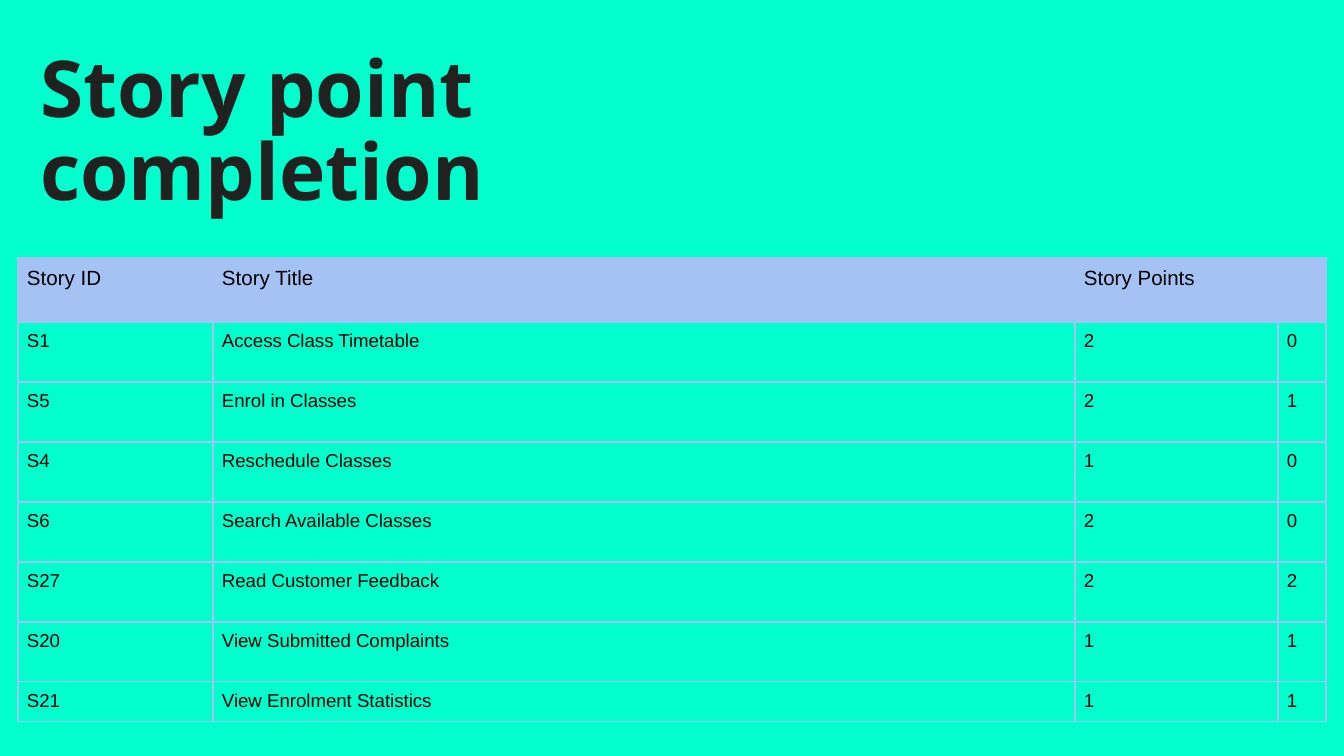
import pptx
import pptx.dml.color
import pptx.enum.text
import pptx.oxml
import pptx.oxml.ns
import pptx.util

PX = 914400 / 134.4
COLORS = {"background": "00FFCC", "header": "A4C2F4", "title": "212121", "text": "000000"}
STORIES = [
    ("Story ID", "Story Title", "Story Points", ""),
    ("S1", "Access Class Timetable", "2", "0"),
    ("S5", "Enrol in Classes", "2", "1"),
    ("S4", "Reschedule Classes", "1", "0"),
    ("S6", "Search Available Classes", "2", "0"),
    ("S27", "Read Customer Feedback", "2", "2"),
    ("S20", "View Submitted Complaints", "1", "1"),
    ("S21", "View Enrolment Statistics", "1", "1"),
]
COLUMN_WIDTHS = [195, 862, 203, 48]
ROW_HEIGHTS = [64] + [60] * 6 + [40]


def px(length):
    return pptx.util.Emu(round(length * PX))


def write(paragraph, text, color, **font_format):
    run = paragraph.add_run()
    run.text = text
    run.font.color.rgb = pptx.dml.color.RGBColor.from_string(COLORS[color])
    for attribute, value in font_format.items():
        setattr(run.font, attribute, value)


deck = pptx.Presentation()
deck.slide_width, deck.slide_height = px(1344), px(756)
slide = deck.slides.add_slide(deck.slide_layouts[5])
slide.background.fill.solid()
slide.background.fill.fore_color.rgb = pptx.dml.color.RGBColor.from_string(COLORS["background"])

heading = slide.shapes.title
heading_place = {"left": px(27), "top": px(38), "width": px(751), "height": px(152)}
for attribute, value in heading_place.items():
    setattr(heading, attribute, value)
heading_format = {
    "word_wrap": True,
    "auto_size": pptx.enum.text.MSO_AUTO_SIZE.NONE,
    "vertical_anchor": pptx.enum.text.MSO_ANCHOR.TOP,
    "margin_left": px(13),
    "margin_right": px(13),
    "margin_top": px(13),
    "margin_bottom": px(13),
}
for attribute, value in heading_format.items():
    setattr(heading.text_frame, attribute, value)
heading_line = heading.text_frame.paragraphs[0]
heading_line.alignment = pptx.enum.text.PP_ALIGN.LEFT
heading_line.line_spacing = 0.88
write(heading_line, "Story point completion", "title",
      name="Open Sans", size=pptx.util.Pt(42), bold=True)

stories = slide.shapes.add_table(
    len(STORIES), len(COLUMN_WIDTHS), px(18), px(258),
    px(sum(COLUMN_WIDTHS)), px(sum(ROW_HEIGHTS))).table
stories.horz_banding = False
for column, width in zip(stories.columns, COLUMN_WIDTHS):
    column.width = px(width)
for row, height in zip(stories.rows, ROW_HEIGHTS):
    row.height = px(height)

cell_format = {
    "margin_left": px(9),
    "margin_right": px(9),
    "margin_top": px(9),
    "margin_bottom": px(9),
    "vertical_anchor": pptx.enum.text.MSO_ANCHOR.TOP,
}
for row_index, story in enumerate(STORIES):
    is_header = row_index == 0
    for column_index, text in enumerate(story):
        cell = stories.cell(row_index, column_index)
        for attribute, value in cell_format.items():
            setattr(cell, attribute, value)
        for side in ("lnL", "lnR", "lnT", "lnB"):
            cell._tc.get_or_add_tcPr().append(pptx.oxml.parse_xml(
                f'<a:{side} {pptx.oxml.ns.nsdecls("a")} w="12700"><a:solidFill>'
                f'<a:srgbClr val="{COLORS["header"]}"/></a:solidFill></a:{side}>'))
        if is_header:
            cell.fill.solid()
            cell.fill.fore_color.rgb = pptx.dml.color.RGBColor.from_string(COLORS["header"])
        else:
            cell.fill.background()
        if text:
            write(cell.text_frame.paragraphs[0], text, "text", name="Arial",
                  size=pptx.util.Pt(11 if is_header else 10), bold=False)

deck.save("out.pptx")
